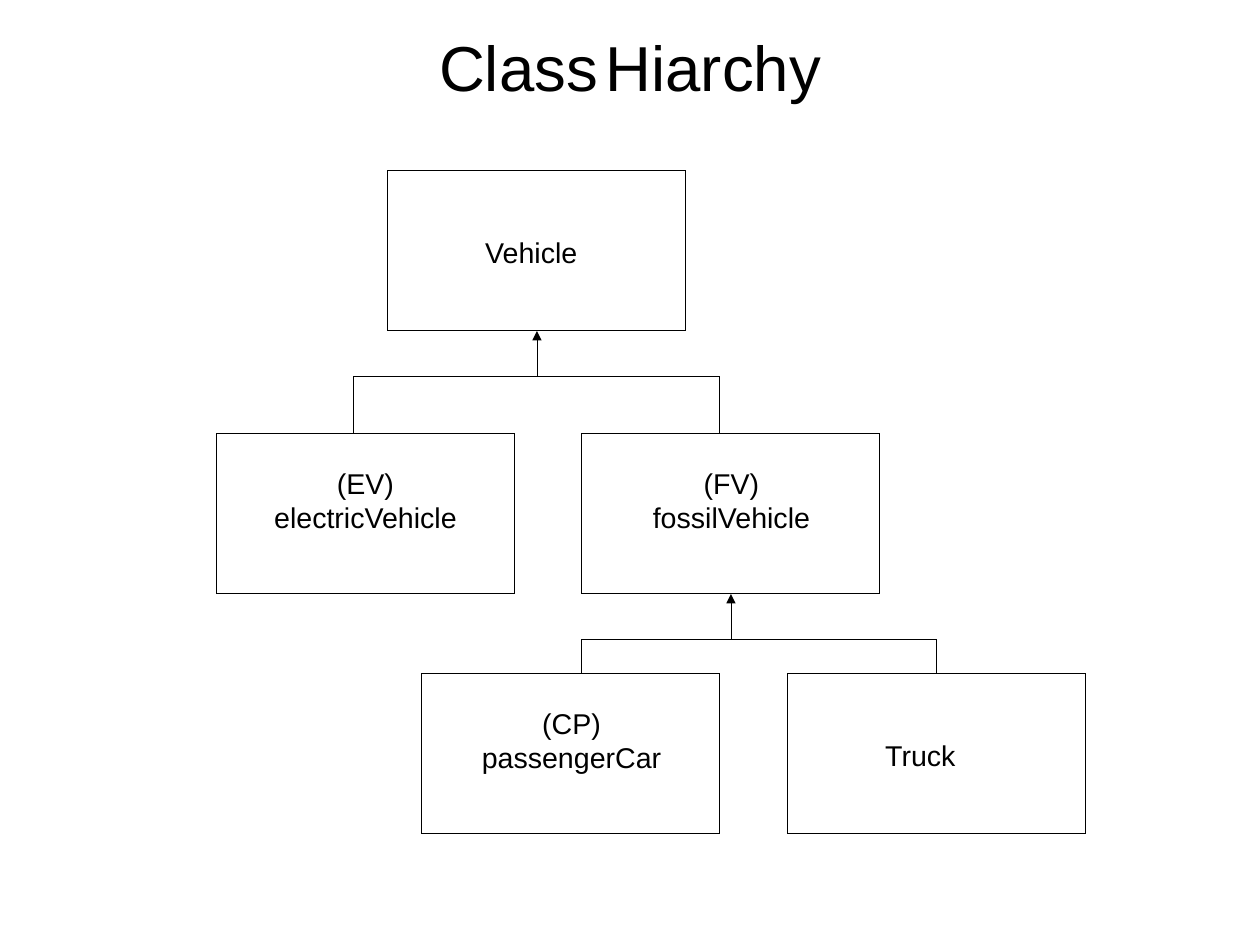
from dataclasses import dataclass

from lxml.etree import SubElement
from pptx import Presentation
from pptx.dml.color import RGBColor
from pptx.enum.shapes import MSO_CONNECTOR, MSO_SHAPE
from pptx.enum.text import MSO_ANCHOR, MSO_AUTO_SIZE, PP_ALIGN
from pptx.oxml.ns import qn
from pptx.util import Pt

PX = 8000  # 45 px to the centimetre


@dataclass(frozen=True)
class Theme:
    ink: RGBColor = RGBColor(0, 0, 0)
    font: str = "Arial"
    title_size: int = 40
    label_size: int = 18


THEME = Theme()
SLIDE_SIZE = (1260, 945)
BOX_SIZE = (298, 160)

# left and top of each class box
CLASS_BOXES = [(388, 171), (217, 434), (582, 434), (422, 674), (788, 674)]

# text, (left, top, width, height), alignment
CLASS_LABELS = [
    ("Vehicle", (474, 229, 126, 43), PP_ALIGN.LEFT),
    ("(EV) electricVehicle", (257, 460, 217, 107), PP_ALIGN.CENTER),
    ("(FV) fossilVehicle", (623, 460, 217, 107), PP_ALIGN.CENTER),
    ("(CP) passengerCar", (457, 700, 229, 107), PP_ALIGN.CENTER),
    ("Truck", (874, 732, 126, 43), PP_ALIGN.LEFT),
]

# parent x, parent bottom, bar y, child top, child x positions
BRANCHES = [
    (537, 331, 377, 434, (354, 720)),
    (731, 594, 640, 674, (582, 937)),
]


def emu(*lengths):
    return [length * PX for length in lengths]


def apply_format(target, values):
    for name, value in values.items():
        setattr(target, name, value)


def style_hairline(line):
    """Set the ink colour and an explicit zero width, which the width property omits."""
    line.color.rgb = THEME.ink
    line._get_or_add_ln().set("w", "0")


def add_class_box(slide, left, top):
    shape = slide.shapes.add_shape(MSO_SHAPE.RECTANGLE, *emu(left, top, *BOX_SIZE))
    shape.shadow.inherit = False
    shape.fill.background()
    style_hairline(shape.line)


def add_line(slide, start, end, arrow=False):
    connector = slide.shapes.add_connector(MSO_CONNECTOR.STRAIGHT, *emu(*start, *end))
    style_hairline(connector.line)
    if arrow:
        SubElement(connector.line._get_or_add_ln(), qn("a:tailEnd"), type="triangle")
    SubElement(connector._element.spPr, qn("a:effectLst"))


def add_branch(slide, parent_x, parent_bottom, bar_y, child_top, child_xs):
    """Join the children under one bar, with an arrow up to their parent."""
    first_x, last_x = child_xs
    add_line(slide, (parent_x, bar_y), (parent_x, parent_bottom), arrow=True)
    add_line(slide, (first_x, bar_y), (last_x, bar_y))
    for child_x in child_xs:
        add_line(slide, (child_x, bar_y), (child_x, child_top))


def add_text(slide, runs, box, alignment=PP_ALIGN.LEFT, wrap=True):
    """Add one paragraph made of (text, size) runs."""
    frame = slide.shapes.add_textbox(*emu(*box)).text_frame
    apply_format(frame, {
        "word_wrap": wrap,
        "auto_size": MSO_AUTO_SIZE.NONE,
        "vertical_anchor": MSO_ANCHOR.TOP,
    })
    paragraph = frame.paragraphs[0]
    paragraph.alignment = alignment
    for text, size in runs:
        run = paragraph.add_run()
        run.text = text
        apply_format(run.font, {"name": THEME.font, "size": Pt(size)})
        run.font.color.rgb = THEME.ink


def main():
    presentation = Presentation()
    width, height = emu(*SLIDE_SIZE)
    apply_format(presentation, {"slide_width": width, "slide_height": height})
    slide = presentation.slides.add_slide(presentation.slide_layouts[6])

    title_runs = [
        ("Class", THEME.title_size),
        (" ", THEME.label_size),
        ("Hiarchy", THEME.title_size),
    ]
    add_text(slide, title_runs, (428, 22, 405, 82), wrap=False)
    for left, top in CLASS_BOXES:
        add_class_box(slide, left, top)
    for branch in BRANCHES:
        add_branch(slide, *branch)
    for text, box, alignment in CLASS_LABELS:
        add_text(slide, [(text, THEME.label_size)], box, alignment)

    presentation.save("out.pptx")


if __name__ == "__main__":
    main()
